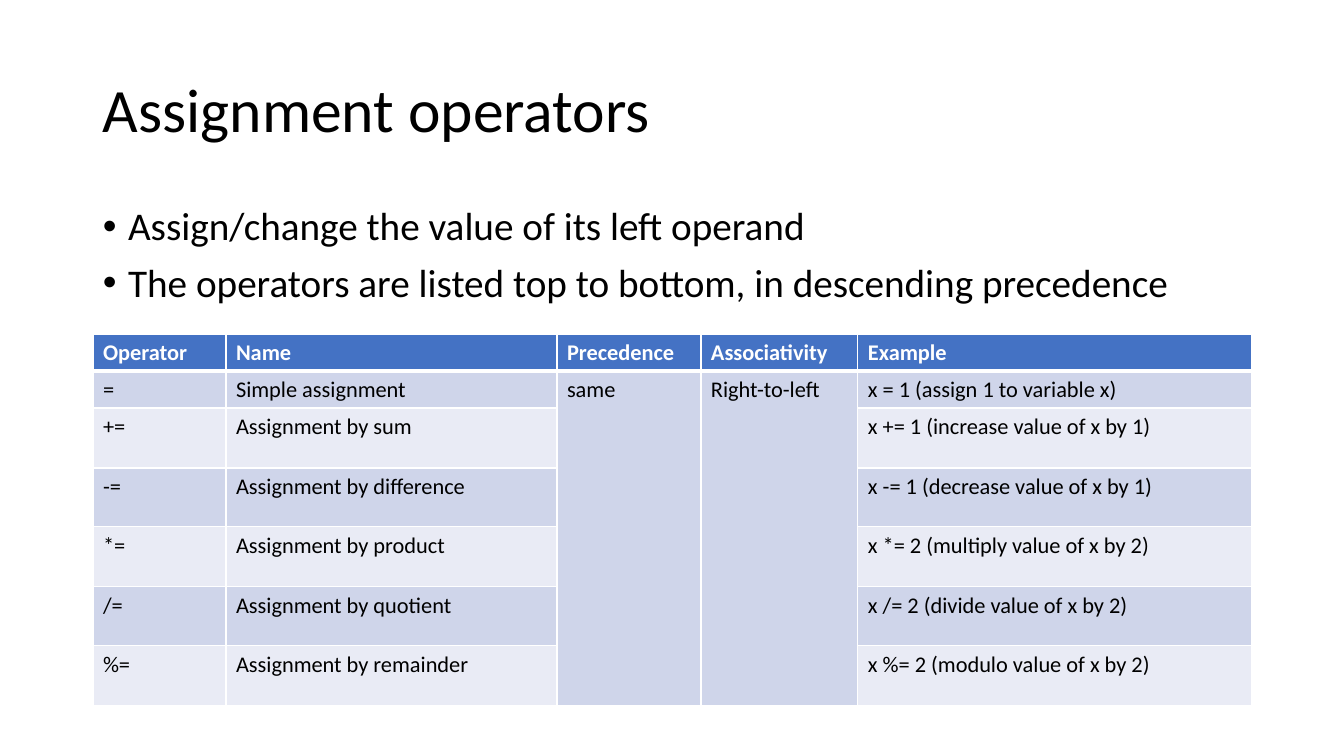
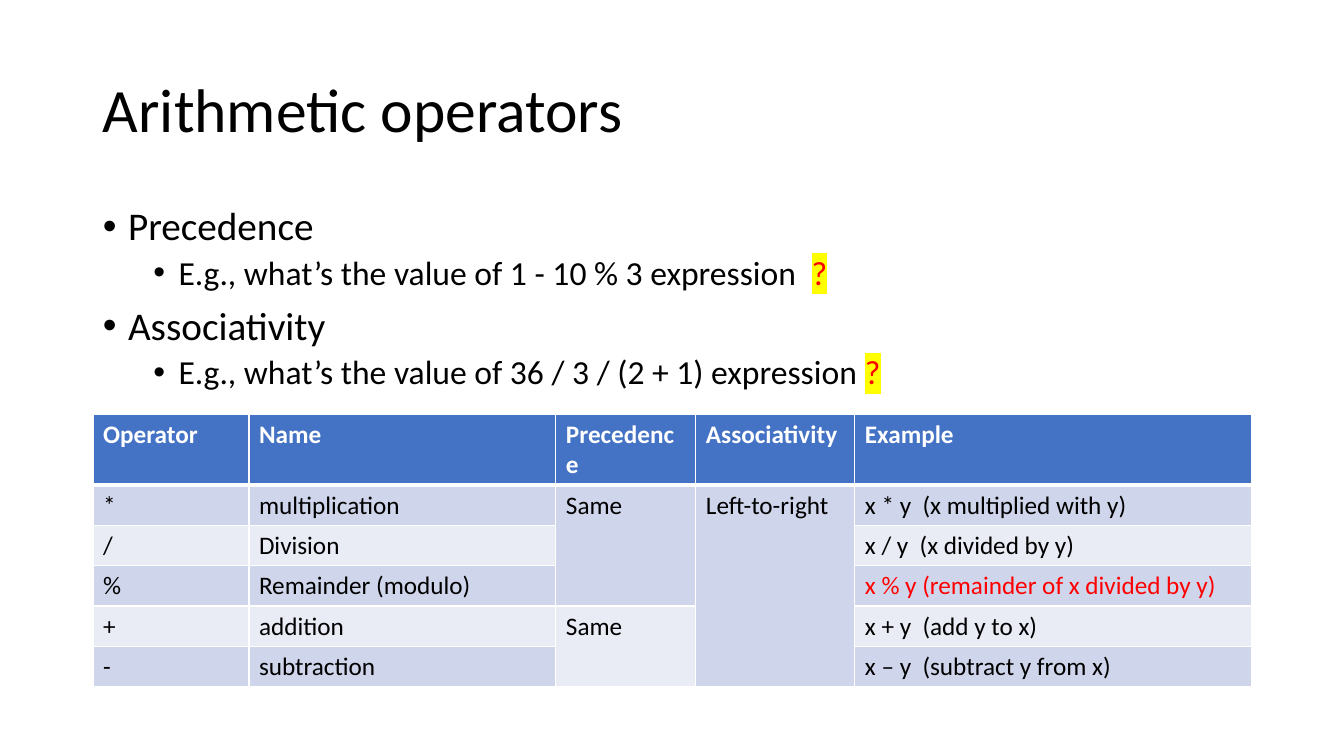
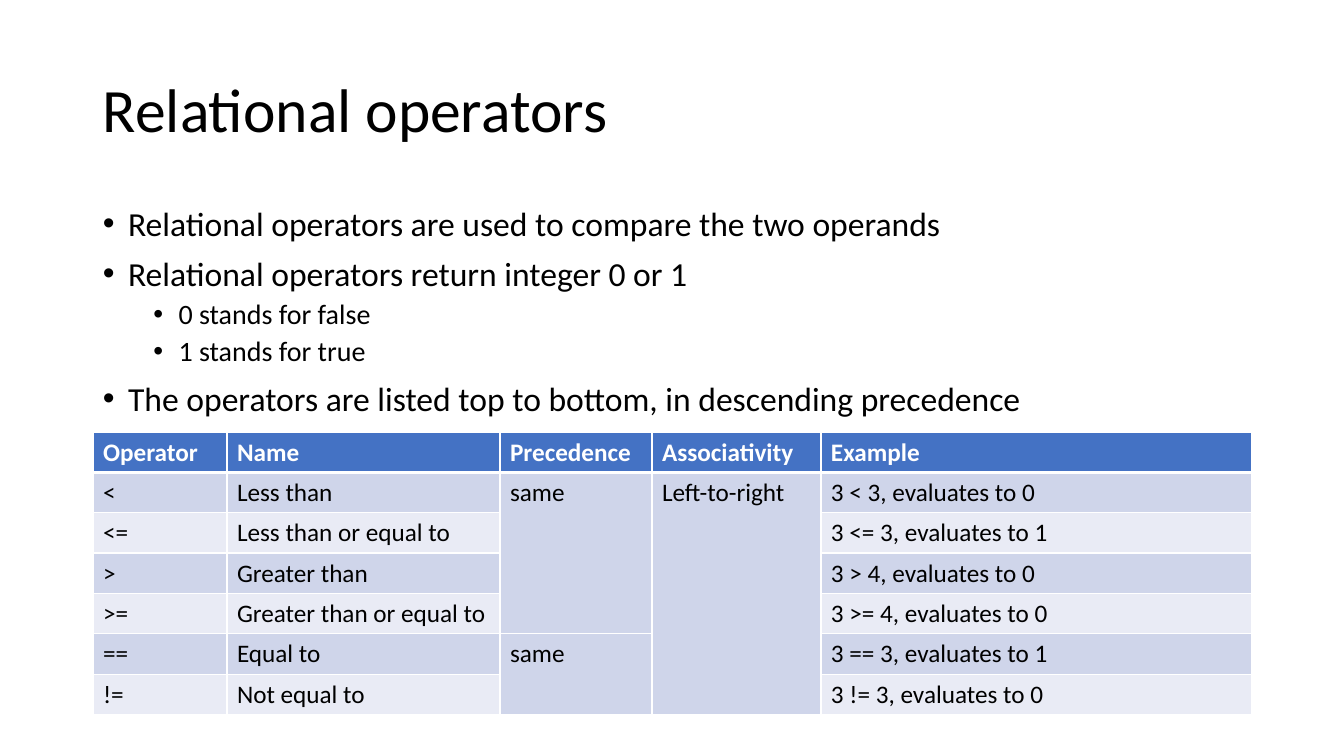
import dataclasses

import lxml.etree
import pptx
import pptx.dml.color
import pptx.enum.text
import pptx.oxml.ns
import pptx.util


@dataclasses.dataclass(frozen=True)
class Theme:
    font: str = "Calibri"
    ink: str = "000000"
    white: str = "FFFFFF"
    head: str = "4472C4"
    odd: str = "CFD5EA"
    even: str = "E9EBF5"
    red: str = "FF0000"
    glow: str = "FFFF00"
    title: int = 44
    large: int = 28
    mid: int = 24
    small: int = 20
    cell: int = 18
    dense: int = 16


THEME = Theme()
LEFT, WIDE = 93, 1159
HEADS = ("Operator", "Name", "Precedence", "Associativity", "Example")


def px(num):
    return round(num * 914400 / 100.8)


def rgb(code):
    return pptx.dml.color.RGBColor.from_string(code)


def add_tag(node, name, **attrs):
    return lxml.etree.SubElement(node, pptx.oxml.ns.qn(name), attrs)


def style(par, size, color=THEME.ink, bold=False):
    font = par.font
    font.name, font.size, font.bold = THEME.font, pptx.util.Pt(size), bold
    font.color.rgb = rgb(color)


def add_box(slide, top, high):
    box = slide.shapes.add_textbox(px(LEFT), px(top), px(WIDE), px(high))
    box.text_frame.word_wrap = True
    return box.text_frame


def add_title(slide, text):
    frame = add_box(slide, 40, 146)
    frame.vertical_anchor = pptx.enum.text.MSO_ANCHOR.MIDDLE
    par = frame.paragraphs[0]
    par.text = text
    par.line_spacing = 0.9
    style(par, THEME.title)


def add_mark(par):
    run = par.add_run()
    run.text = "?"
    run.font.color.rgb = rgb(THEME.red)
    glow = add_tag(run._r.get_or_add_rPr(), "a:highlight")
    add_tag(glow, "a:srgbClr", val=THEME.glow)


def add_list(slide, items, sizes):
    frame = add_box(slide, 202, 480)
    for pos, (level, text) in enumerate(items):
        par = frame.add_paragraph() if pos else frame.paragraphs[0]
        par.level = level
        par.line_spacing = 0.9
        par.space_before = pptx.util.Pt(5 if level else 10)
        props = par._p.get_or_add_pPr()
        props.set("marL", str(pptx.util.Inches(0.25 + 0.5 * level)))
        props.set("indent", str(-pptx.util.Inches(0.25)))
        add_tag(props, "a:buFont", typeface="Arial")
        add_tag(props, "a:buChar", char="•")
        style(par, sizes[level])
        par.add_run().text = text.removesuffix("?")
        if text.endswith("?"):
            add_mark(par)


def add_edges(cell, row):
    thick = {"T": 3 if row == 1 else 1, "B": 3 if row == 0 else 1}
    for side in "LRTB":
        width = pptx.util.Pt(thick.get(side, 1))
        line = add_tag(cell._tc.get_or_add_tcPr(), "a:ln" + side, w=str(width))
        add_tag(add_tag(line, "a:solidFill"), "a:srgbClr", val=THEME.white)


def fill_cell(cell, row, text, size, color):
    add_edges(cell, row)
    cell.fill.solid()
    band = THEME.odd if row % 2 else THEME.even
    cell.fill.fore_color.rgb = rgb(band if row else THEME.head)
    par = cell.text_frame.paragraphs[0]
    par.text = text
    style(par, size, color if row else THEME.white, bold=row == 0)


def span_col(groups):
    return [text if pos == 0 else ""
            for text, count in groups for pos in range(count)]


def add_grid(slide, top, cols, highs, rows, ranks, order, size, hot=None):
    grid = slide.shapes.add_table(len(highs), len(cols), px(LEFT), px(top),
                                  px(WIDE), px(sum(highs))).table
    grid.horz_banding = False
    for col, wide in zip(grid.columns, cols):
        col.width = px(wide)
    for row, high in zip(grid.rows, highs):
        row.height = px(high)
    order = [(order, len(rows))]
    body = [(sign, name, rank, way, case) for (sign, name, case), rank, way
            in zip(rows, span_col(ranks), span_col(order))]
    for row, texts in enumerate([HEADS] + body):
        for col, text in enumerate(texts):
            color = THEME.red if (row, col) == hot else THEME.ink
            fill_cell(grid.cell(row, col), row, text, size, color)
    for col, groups in ((2, ranks), (3, order)):
        row = 1
        for _, count in groups:
            grid.cell(row, col).merge(grid.cell(row + count - 1, col))
            row += count


def add_page(deck, title, items, sizes, **grid):
    slide = deck.slides.add_slide(deck.slide_layouts[6])
    add_title(slide, title)
    add_list(slide, items, sizes)
    add_grid(slide, **grid)


def main():
    deck = pptx.Presentation()
    deck.slide_width, deck.slide_height = px(1344), px(756)
    listed = "The operators are listed top to bottom, in descending precedence"

    add_page(
        deck, "Assignment operators",
        [(0, "Assign/change the value of its left operand"), (0, listed)],
        (THEME.large, THEME.mid),
        top=334, cols=(133, 331, 144, 157, 394),
        highs=(37, 37, 60, 59, 60, 59, 60), size=THEME.dense,
        ranks=[("same", 6)], order="Right-to-left",
        rows=[
            ("=", "Simple assignment", "x = 1 (assign 1 to variable x)"),
            ("+=", "Assignment by sum", "x += 1 (increase value of x by 1)"),
            ("-=", "Assignment by difference",
             "x -= 1 (decrease value of x by 1)"),
            ("*=", "Assignment by product",
             "x *= 2 (multiply value of x by 2)"),
            ("/=", "Assignment by quotient",
             "x /= 2 (divide value of x by 2)"),
            ("%=", "Assignment by remainder",
             "x %= 2 (modulo value of x by 2)"),
        ])

    add_page(
        deck, "Arithmetic operators",
        [(0, "Precedence"),
         (1, "E.g., what’s the value of 1 - 10 % 3 expression  ?"),
         (0, "Associativity"),
         (1, "E.g., what’s the value of 36 / 3 / (2 + 1) expression ?")],
        (THEME.large, THEME.mid),
        top=414, cols=(156, 307, 140, 159, 397),
        highs=[71] + [40] * 5, size=THEME.cell, hot=(3, 4),
        ranks=[("Same", 3), ("Same", 2)], order="Left-to-right",
        rows=[
            ("*", "multiplication", "x * y  (x multiplied with y)"),
            ("/", "Division", "x / y  (x divided by y)"),
            ("%", "Remainder (modulo)", "x % y (remainder of x divided by y)"),
            ("+", "addition", "x + y  (add y to x)"),
            ("-", "subtraction", "x – y  (subtract y from x)"),
        ])

    add_page(
        deck, "Relational operators",
        [(0, "Relational operators are used to compare the two operands"),
         (0, "Relational operators return integer 0 or 1"),
         (1, "0 stands for false"), (1, "1 stands for true"), (0, listed)],
        (THEME.mid, THEME.small),
        top=432, cols=(134, 273, 152, 169, 431),
        highs=[40] * 7, size=THEME.cell,
        ranks=[("same", 4), ("same", 2)], order="Left-to-right",
        rows=[
            ("<", "Less than", "3 < 3, evaluates to 0"),
            ("<=", "Less than or equal to", "3 <= 3, evaluates to 1"),
            (">", "Greater than", "3 > 4, evaluates to 0"),
            (">=", "Greater than or equal to", "3 >= 4, evaluates to 0"),
            ("==", "Equal to", "3 == 3, evaluates to 1"),
            ("!=", "Not equal to", "3 != 3, evaluates to 0"),
        ])

    deck.save("out.pptx")


main()
